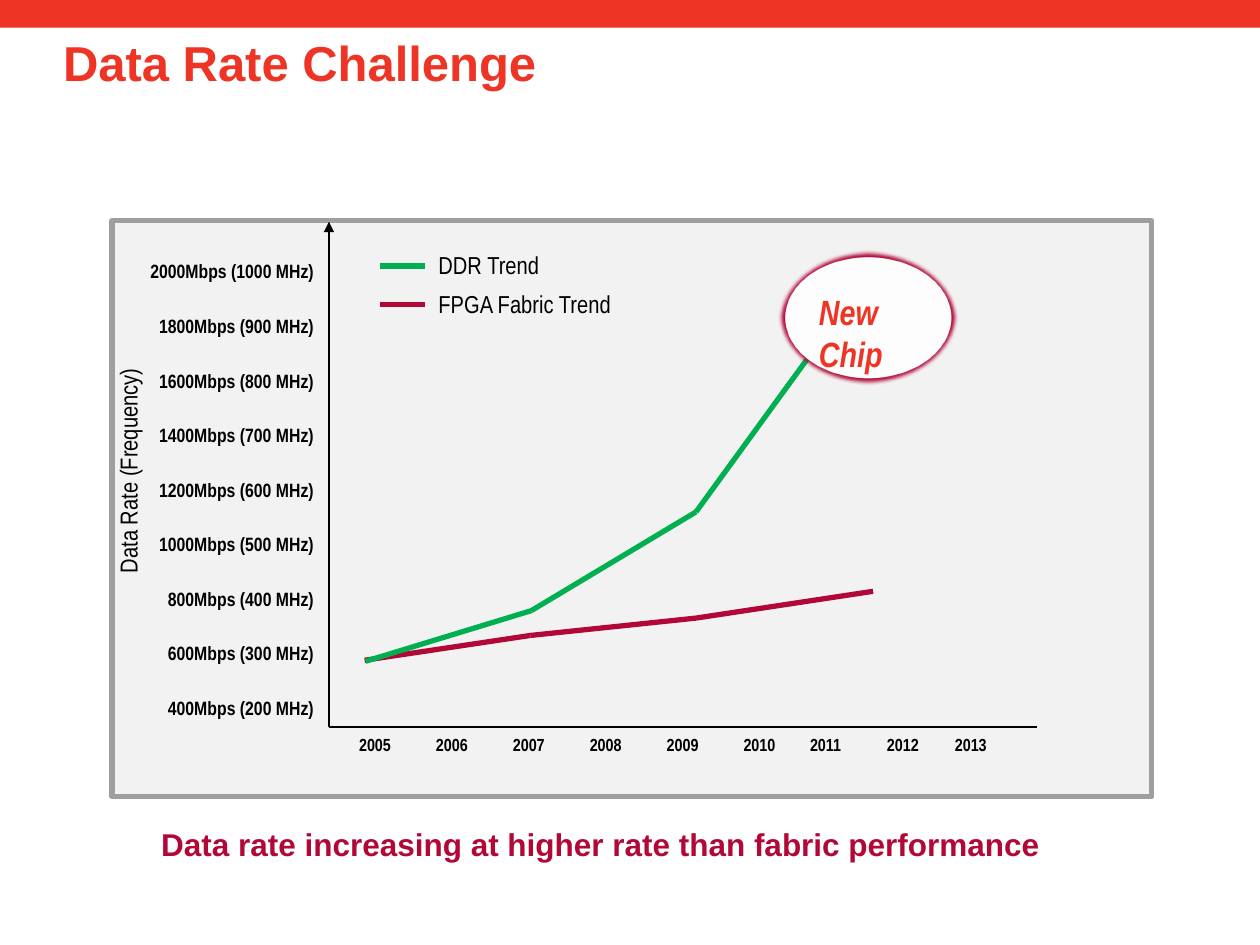
from dataclasses import dataclass
from itertools import pairwise

from lxml.etree import SubElement
from pptx import Presentation
from pptx.dml.color import RGBColor
from pptx.enum.shapes import MSO_CONNECTOR, MSO_SHAPE
from pptx.enum.text import MSO_ANCHOR, MSO_AUTO_SIZE, PP_ALIGN
from pptx.oxml import parse_xml
from pptx.oxml.ns import nsdecls, qn
from pptx.util import Cm, Pt


@dataclass(frozen=True)
class Theme:
    red: RGBColor = RGBColor(0xEE, 0x34, 0x24)
    crimson: RGBColor = RGBColor(0xB2, 0x08, 0x38)
    green: RGBColor = RGBColor(0x00, 0xB0, 0x50)
    black: RGBColor = RGBColor(0, 0, 0)
    white: RGBColor = RGBColor(0xFF, 0xFF, 0xFF)
    panel: RGBColor = RGBColor(0xF2, 0xF2, 0xF2)
    border: RGBColor = RGBColor(0x9F, 0x9F, 0x9F)
    outline: RGBColor = RGBColor(0xBA, 0x00, 0x35)
    wide: str = "Arial"
    narrow: str = "Arial Narrow"
    title_size: int = 28
    callout_size: int = 20
    message_size: int = 18
    label_size: int = 14
    rate_size: int = 11
    year_size: int = 10
    axis_width: float = 1
    trend_width: float = 3
    callout_width: float = 4.5


THEME = Theme()


def set_text(frame, text, size, color=THEME.black, name=THEME.narrow, align=PP_ALIGN.LEFT, **styles):
    para = frame.paragraphs[0]
    para.alignment = align
    span = para.add_run()
    span.text = text
    for key, value in {"name": name, "size": Pt(size), **styles}.items():
        setattr(span.font, key, value)
    span.font.color.rgb = color
    return span


def add_text(page, place, text, size, wrap=False, **styles):
    box = page.shapes.add_textbox(*map(Cm, place))
    box.text_frame.word_wrap = wrap
    box.text_frame.auto_size = MSO_AUTO_SIZE.SHAPE_TO_FIT_TEXT
    return box, set_text(box.text_frame, text, size, **styles)


def add_shape(page, kind, place, fill, line=None, width=0):
    shape = page.shapes.add_shape(kind, *map(Cm, place))
    shape.shadow.inherit = False
    shape.fill.solid()
    shape.fill.fore_color.rgb = fill
    if line is None:
        shape.line.fill.background()
    else:
        shape.line.color.rgb = line
        shape.line.width = Pt(width)
    return shape


def add_line(page, start, end, color, width, arrow=False):
    line = page.shapes.add_connector(MSO_CONNECTOR.STRAIGHT, *map(Cm, (*start, *end)))
    line.line.color.rgb = color
    line.line.width = Pt(width)
    if arrow:
        SubElement(line.line._get_or_add_ln(), qn("a:tailEnd"), type="triangle")
    SubElement(line._element.spPr, qn("a:effectLst"))


def add_trend(page, points, color):
    for start, end in pairwise(points):
        add_line(page, start, end, color, THEME.trend_width)


def add_title(page, text):
    title = page.shapes.title
    frame = title.text_frame
    places = {"left": 1.27, "top": 0.58, "width": 22.86, "height": 3.18}
    for key, value in places.items():
        setattr(title, key, Cm(value))
    formats = {"margin_left": 0, "vertical_anchor": MSO_ANCHOR.TOP, "word_wrap": True}
    for key, value in formats.items():
        setattr(frame, key, value)
    set_text(frame, text, THEME.title_size, THEME.red, THEME.wide, bold=True)
    frame.paragraphs[0].line_spacing = 0.98


def add_axes(page):
    origin = (6.63, 14.66)
    add_line(page, origin, (20.9, 14.66), THEME.black, THEME.axis_width)
    add_line(page, origin, (6.63, 4.47), THEME.black, THEME.axis_width, arrow=True)

    # Data rates, from the top down at equal steps
    for step, rate in enumerate(range(2000, 399, -200)):
        add_text(page, (2.58, 5.11 + 1.1 * step, 4, 0.73), f"{rate}Mbps ({rate // 2} MHz)",
                 THEME.rate_size, wrap=True, align=PP_ALIGN.RIGHT, bold=True)

    # Years: even up to 2010, then closer together
    lefts = [6.99 + 1.55 * step for step in range(6)] + [16.08, 17.63, 19]
    for year, left in enumerate(lefts, start=2005):
        add_text(page, (left, 14.68, 1.3, 0.69), str(year), THEME.year_size, wrap=True, bold=True)

    label, _ = add_text(page, (0.25, 9.04, 4.67, 0.86), "Data Rate (Frequency)", THEME.label_size)
    label.rotation = 270


def add_legend(page):
    entries = [("DDR Trend", THEME.green, 2.57), ("FPGA Fabric Trend", THEME.crimson, 4.01)]
    for row, (text, color, width) in enumerate(entries):
        top = 4.92 + 0.78 * row
        add_text(page, (8.59, top, width, 0.86), text, THEME.label_size)
        add_line(page, (7.67, top + 0.44), (8.57, top + 0.44), color, THEME.trend_width)


def add_callout(page):
    oval = add_shape(page, MSO_SHAPE.OVAL, (15.75, 5.11, 3.5, 2.58),
                     THEME.white, THEME.crimson, THEME.callout_width)
    effects = oval._element.spPr.find(qn("a:effectLst"))
    SubElement(effects, qn("a:softEdge"), rad=str(Pt(2.5)))
    _, span = add_text(page, (16.26, 5.74, 2.74, 1.12), "New Chip", THEME.callout_size,
                       color=THEME.red, bold=True, italic=True)
    outline = parse_xml(f'<a:ln {nsdecls("a")} w="{Pt(1.42)}"><a:solidFill>'
                        f'<a:srgbClr val="{THEME.outline}"/></a:solidFill></a:ln>')
    span.font._element.insert(0, outline)


def main():
    deck = Presentation()
    deck.slide_width, deck.slide_height = Cm(25.4), Cm(19.05)
    page = deck.slides.add_slide(deck.slide_layouts[5])

    # Header
    add_shape(page, MSO_SHAPE.RECTANGLE, (0, 0, 25.4, 0.56), THEME.red)
    add_title(page, "Data Rate Challenge")

    # Diagram
    add_shape(page, MSO_SHAPE.RECTANGLE, (2.26, 4.45, 20.96, 11.61),
              THEME.panel, THEME.border, THEME.trend_width)
    add_axes(page)
    add_trend(page, [(7.35, 13.31), (10.69, 12.81), (14.03, 12.46), (17.6, 11.92)], THEME.crimson)
    add_trend(page, [(7.37, 13.33), (10.71, 12.31), (14.03, 10.32), (17.42, 5.66)], THEME.green)
    add_legend(page)
    add_callout(page)

    # Message
    add_text(page, (3, 16.51, 18.39, 1.02),
             "Data rate increasing at higher rate than fabric performance",
             THEME.message_size, color=THEME.crimson, name=THEME.wide, bold=True)
    deck.save("out.pptx")


if __name__ == "__main__":
    main()
